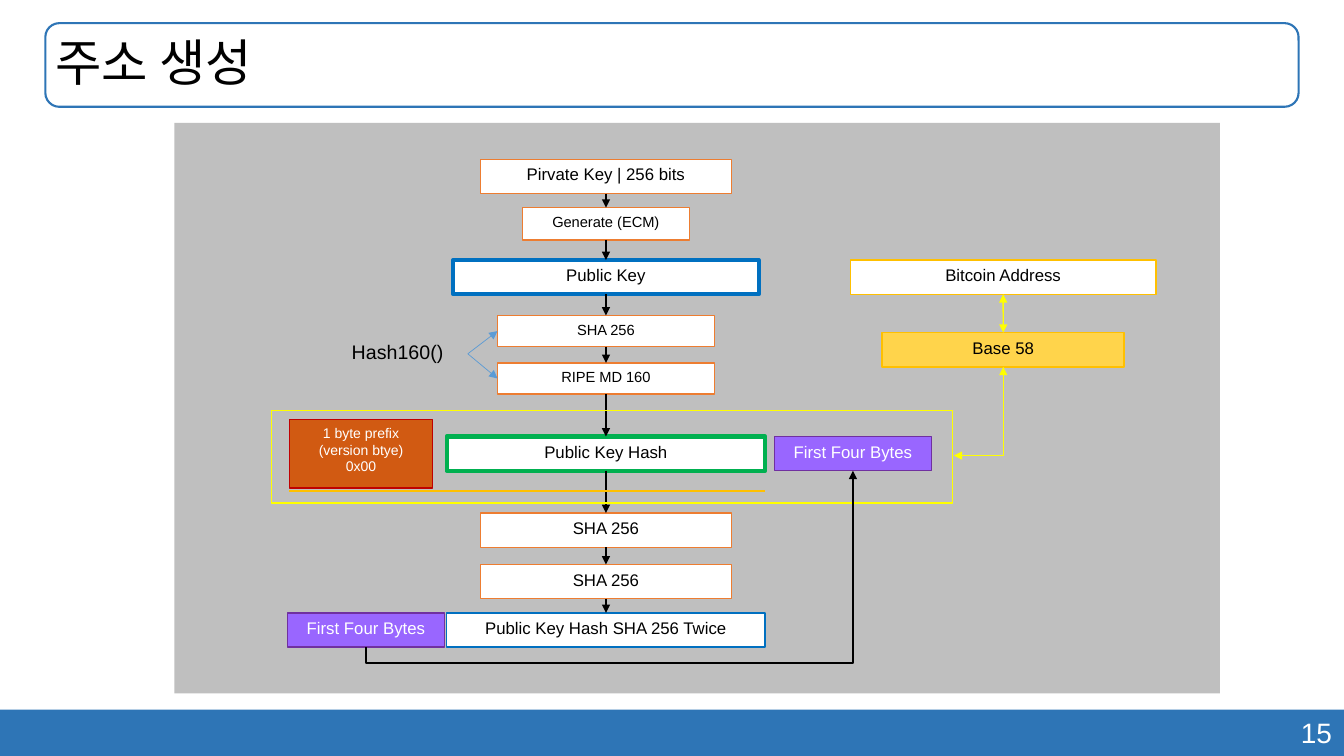
from lxml import etree
from pptx import Presentation
from pptx.dml.color import RGBColor
from pptx.enum.shapes import MSO_CONNECTOR, MSO_SHAPE
from pptx.enum.text import MSO_ANCHOR, PP_ALIGN
from pptx.oxml.ns import qn
from pptx.util import Inches, Pt

RECT, ROUNDED = MSO_SHAPE.RECTANGLE, MSO_SHAPE.ROUNDED_RECTANGLE
STRAIGHT, ELBOW = MSO_CONNECTOR.STRAIGHT, MSO_CONNECTOR.ELBOW
LEFT, CENTER, RIGHT = PP_ALIGN.LEFT, PP_ALIGN.CENTER, PP_ALIGN.RIGHT
TOP, MIDDLE = MSO_ANCHOR.TOP, MSO_ANCHOR.MIDDLE
SIDE_TOP, SIDE_LEFT, SIDE_BOTTOM = 0, 1, 2

FONT = "Arial"
COLORS = {
    "black": "000000", "white": "FFFFFF", "gray": "BFBFBF",
    "bar": "2E75B6", "blue": "0070C0", "light_blue": "5B9BD5",
    "orange": "ED7D31", "rust": "D15A12", "red": "C00000",
    "green": "00B050", "violet": "9966FF", "purple": "7030A0",
    "yellow": "FFFF00", "gold": "FFC000", "pale_gold": "FFD44B",
}
CHAIN_X = 6.01    # centre of the hashing chain
ADDRESS_X = 9.95  # centre of the address column

# text, top, width, height, line colour, line width, text size
CHAIN = [
    ("Pirvate Key | 256 bits", 1.58, 2.49, 0.34, "orange", 1, 12),
    ("Generate (ECM)", 2.06, 1.66, 0.32, "orange", 1, 10.5),
    ("Public Key", 2.58, 3.03, 0.34, "blue", 3, 12),
    ("SHA 256", 3.13, 2.15, 0.31, "orange", 1, 10.5),
    ("RIPE MD 160", 3.6, 2.15, 0.31, "orange", 1, 10.5),
    ("Public Key Hash", 4.33, 3.16, 0.34, "green", 3, 12),
    ("SHA 256", 5.09, 2.49, 0.34, "orange", 1, 12),
    ("SHA 256", 5.6, 2.49, 0.34, "orange", 1, 12),
    ("Public Key Hash SHA 256 Twice", 6.08, 3.16, 0.34, "blue", 1, 12),
]


def rgb(name):
    return RGBColor.from_string(COLORS[name])


def write(shape, text, size, color="black", align=CENTER, anchor=TOP, spacing=None):
    tf = shape.text_frame
    tf.word_wrap = True
    tf.vertical_anchor = anchor
    for i, line in enumerate(text.split("\n")):
        p = tf.paragraphs[0] if i == 0 else tf.add_paragraph()
        p.alignment = align
        p.line_spacing = spacing
        r = p.add_run()
        r.text = line
        for name, value in {"name": FONT, "size": Pt(size)}.items():
            setattr(r.font, name, value)
        r.font.color.rgb = rgb(color)


def add_box(s, at, fill=None, line=None, width=1, kind=RECT):
    sp = s.shapes.add_shape(kind, *map(Inches, at))
    sp.shadow.inherit = False
    if fill:
        sp.fill.solid()
        sp.fill.fore_color.rgb = rgb(fill)
    else:
        sp.fill.background()
    if line:
        sp.line.color.rgb = rgb(line)
        sp.line.width = Pt(width)
    else:
        sp.line.fill.background()
    return sp


def add_label(s, at, text, size, **style):
    write(s.shapes.add_textbox(*map(Inches, at)), text, size, **style)


def add_node(s, center, text, top, width, height, line, line_width, size, fill="white"):
    sp = add_box(s, (center - width / 2, top, width, height), fill, line, line_width)
    write(sp, text, size)
    return sp


def add_line(s, start=(0, 0), end=(0, 0), color="black", width=1, ends=("tailEnd",),
             kind=STRAIGHT, begin_at=None, end_at=None):
    c = s.shapes.add_connector(kind, *map(Inches, (*start, *end)))
    if begin_at:
        c.begin_connect(*begin_at)
    if end_at:
        c.end_connect(*end_at)
    c.line.color.rgb = rgb(color)
    c.line.width = Pt(width)
    ln = c.line._get_or_add_ln()
    for tag in ends:
        etree.SubElement(ln, qn("a:" + tag)).set("type", "triangle")
    etree.SubElement(c._element.spPr, qn("a:effectLst"))
    return c


def add_frame(s):
    add_box(s, (0, 7.04, 13.33, 0.46), "bar")
    add_label(s, (9.41, 7.05, 3.9, 0.44), "15", 20, color="white", align=RIGHT)
    title_at = (0.45, 0.23, 12.43, 0.83)
    add_box(s, title_at, line="bar", width=1.5, kind=ROUNDED)
    add_box(s, (1.73, 1.22, 10.37, 5.66), "gray")
    add_label(s, title_at, "주소 생성", 36, align=LEFT, anchor=MIDDLE, spacing=0.9)


def add_chain(s):
    nodes = [add_node(s, CHAIN_X, *row) for row in CHAIN]
    for upper, lower in zip(nodes, nodes[1:]):
        add_line(s, begin_at=(upper, SIDE_BOTTOM), end_at=(lower, SIDE_TOP))
    # Hash160() covers the first SHA 256 and RIPE MD 160
    add_label(s, (3.39, 3.32, 1.25, 0.38), "Hash160()", 14, align=LEFT)
    for node in nodes[3:5]:
        add_line(s, (4.64, 3.51), color="light_blue", width=0.5, end_at=(node, SIDE_LEFT))


def add_payload(s):
    prefix = add_box(s, (2.87, 4.16, 1.42, 0.68), "rust", "red")
    write(prefix, "1 byte prefix (version btye)\n0x00", 10, "white")
    for left, top in ((2.85, 6.08), (7.68, 4.33)):
        sp = add_box(s, (left, top, 1.56, 0.34), "violet", "purple")
        write(sp, "First Four Bytes", 12, "white")
    add_box(s, (2.69, 4.07, 6.76, 0.92), line="yellow")
    add_line(s, (2.87, 4.87), (7.59, 4.87), "gold", ends=())

    # Checksum route: down, across and up, as a quarter-turned elbow
    route = add_line(s, (6.92, 7.96), (5.17, 3.13), kind=ELBOW)
    route._element.spPr.find(qn("a:xfrm")).set("rot", str(90 * 60000))
    guides = route._element.spPr.find(qn("a:prstGeom")).get_or_add_avLst()
    guide = etree.SubElement(guides, qn("a:gd"))
    guide.set("name", "adj1")
    guide.set("fmla", "val -9100")


def add_address(s):
    both = ("headEnd", "tailEnd")
    address = add_node(s, ADDRESS_X, "Bitcoin Address", 2.58, 3.03, 0.34, "gold", 1, 12)
    base = add_node(s, ADDRESS_X, "Base 58", 3.3, 2.4, 0.34, "gold", 1, 12, "pale_gold")
    add_line(s, color="yellow", ends=both,
             begin_at=(base, SIDE_TOP), end_at=(address, SIDE_BOTTOM))
    corner = add_line(s, (9.46, 4.52), (ADDRESS_X, 3.64), "yellow", ends=both, kind=ELBOW)
    corner._element.spPr.find(qn("a:prstGeom")).set("prst", "bentConnector2")


def main():
    prs = Presentation()
    prs.slide_width, prs.slide_height = Inches(13.33), Inches(7.5)
    s = prs.slides.add_slide(prs.slide_layouts[6])
    add_frame(s)
    add_chain(s)
    add_payload(s)
    add_address(s)
    prs.save("out.pptx")


if __name__ == "__main__":
    main()
